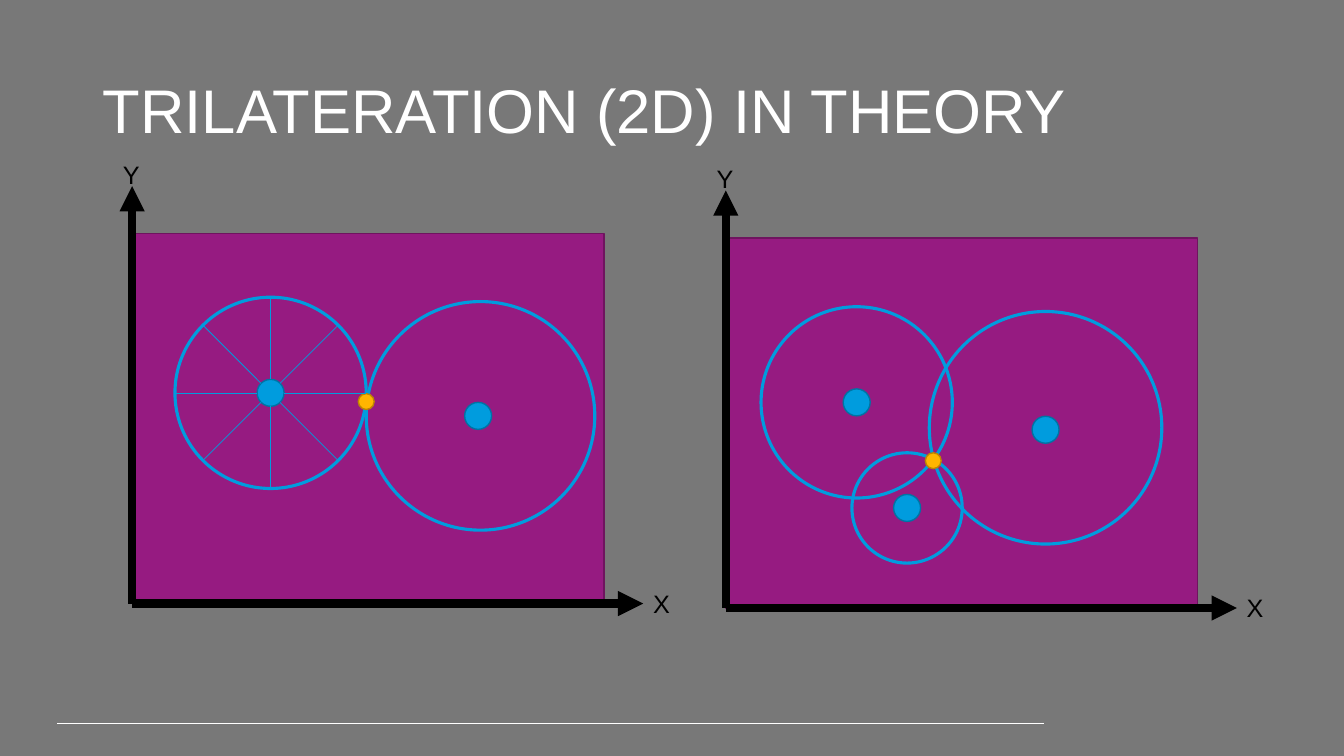
from math import cos, pi, sin

from lxml.etree import SubElement
from pptx import Presentation
from pptx.dml.color import RGBColor
from pptx.enum.shapes import MSO_CONNECTOR as LINK, MSO_SHAPE as SHAPE
from pptx.enum.text import MSO_ANCHOR as ANCHOR
from pptx.oxml.ns import qn
from pptx.util import Cm, Pt

hue = RGBColor.from_string

deck = Presentation()
deck.slide_width, deck.slide_height = Cm(33.87), Cm(19.05)
slide = deck.slides.add_slide(deck.slide_layouts[6])
slide.background.fill.solid()
slide.background.fill.fore_color.rgb = hue("787878")


def draw_line(start, end, color, weight, arrow=False):
    link = slide.shapes.add_connector(LINK.STRAIGHT, *map(Cm, start + end))
    link.line.color.rgb = hue(color)
    link.line.width = Pt(weight)
    if arrow:
        SubElement(link.line._get_or_add_ln(), qn("a:tailEnd"), type="triangle")
    SubElement(link._element.spPr, qn("a:effectLst"))


def write(text, left, top, width, height, size, color, spacing=1.0, anchor=ANCHOR.TOP):
    frame = slide.shapes.add_textbox(*map(Cm, (left, top, width, height))).text_frame
    for name, value in {"word_wrap": True, "vertical_anchor": anchor}.items():
        setattr(frame, name, value)
    line = frame.paragraphs[0]
    line.line_spacing = spacing
    run = line.add_run()
    run.text = text
    for name, value in {"name": "Arial", "size": Pt(size), "bold": False}.items():
        setattr(run.font, name, value)
    run.font.color.rgb = hue(color)


draw_line((1.44, 18.23), (26.32, 18.23), "FFFFFF", 0.75)
write("TRILATERATION (2D) IN THEORY", 2.34, 1.02, 29.21, 3.68, 44, "FFFFFF", 0.9, ANCHOR.MIDDLE)

beacon_radius, target_radius = 0.34, 0.2
spoked_center, spoked_radius = (6.82, 9.9), 2.41

plots = [
    {
        "origin": (3.33, 15.21),
        "beacons": [spoked_center, (12.05, 10.48)],
        "ranges": [(spoked_center, spoked_radius), ((12.11, 10.48), 2.88)],
        "target": (9.23, 10.12),
    },
    {
        "origin": (18.29, 15.32),
        "beacons": [(21.59, 10.14), (22.86, 12.8), (26.35, 10.83)],
        "ranges": [((21.59, 10.14), 2.41), ((22.86, 12.8), 1.39), ((26.35, 10.78), 2.93)],
        "target": (23.52, 11.61),
    },
]

for plot in plots:
    x, y = plot["origin"]
    area = slide.shapes.add_shape(SHAPE.RECTANGLE, *map(Cm, (x, y - 9.32, 11.89, 9.32)))
    area.shadow.inherit = False
    area.fill.solid()
    area.fill.fore_color.rgb = hue("961B81")
    area.line.color.rgb = hue("6F145F")
    area.line.width = Pt(1)

    draw_line((x, y), (x + 12.88, y), "000000", 6, arrow=True)
    draw_line((x, y), (x, y - 10.52), "000000", 6, arrow=True)
    write("X", x + 12.88, y - 0.51, 0.97, 1.02, 18, "000000")
    write("Y", x - 0.48, y - 11.33, 0.97, 1.02, 18, "000000")

    discs = [(center, beacon_radius, "009CDE", "0073A4", 1) for center in plot["beacons"]]
    discs += [(center, radius, None, "009CDE", 2.25) for center, radius in plot["ranges"]]
    discs.append((plot["target"], target_radius, "FFB500", "BD8600", 1))
    for (cx, cy), radius, fill, outline, weight in discs:
        disc = slide.shapes.add_shape(
            SHAPE.OVAL, *map(Cm, (cx - radius, cy - radius, 2 * radius, 2 * radius))
        )
        disc.shadow.inherit = False
        if fill:
            disc.fill.solid()
            disc.fill.fore_color.rgb = hue(fill)
        else:
            disc.fill.background()
        disc.line.color.rgb = hue(outline)
        disc.line.width = Pt(weight)

cx, cy = spoked_center
for step in range(8):
    dx, dy = cos(step * pi / 4), sin(step * pi / 4)
    inner, outer = [
        (cx + radius * dx, cy + radius * dy) for radius in (beacon_radius, spoked_radius)
    ]
    draw_line(inner, outer, "009CDE", 0.5)

deck.save("out.pptx")
